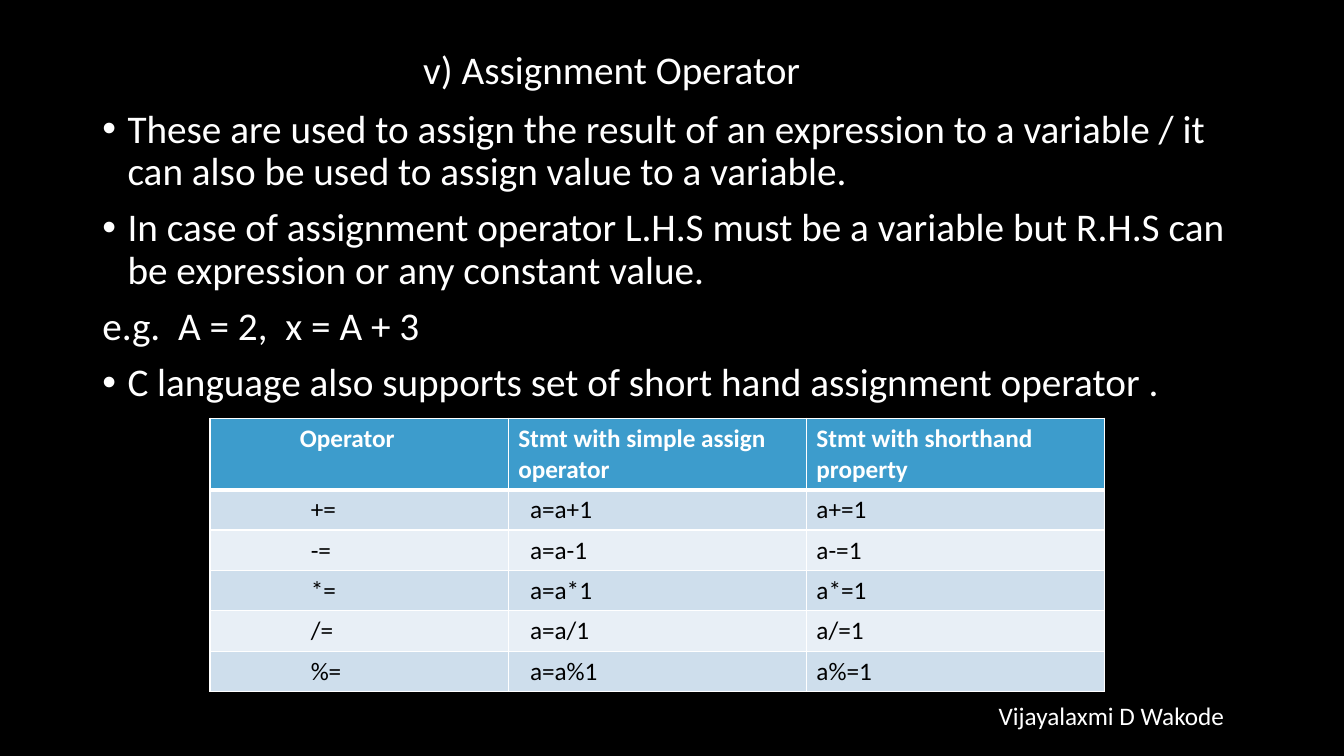
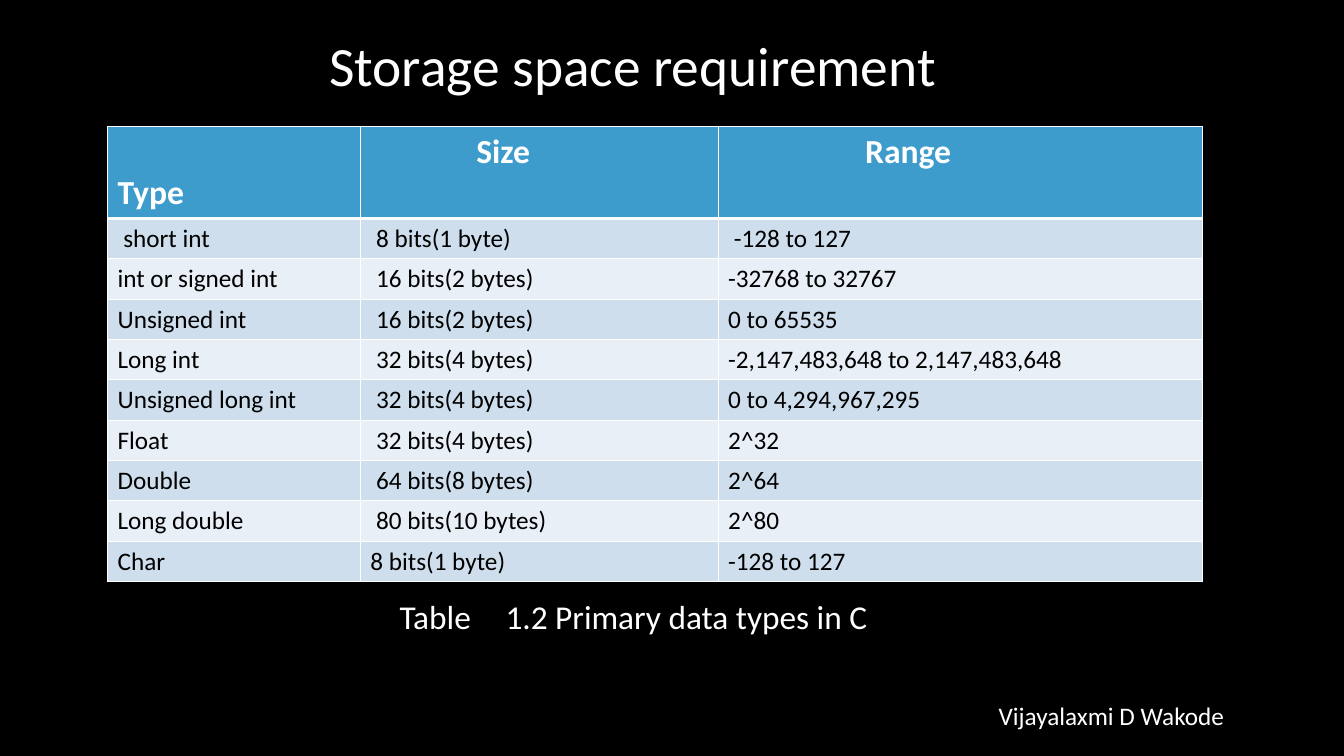
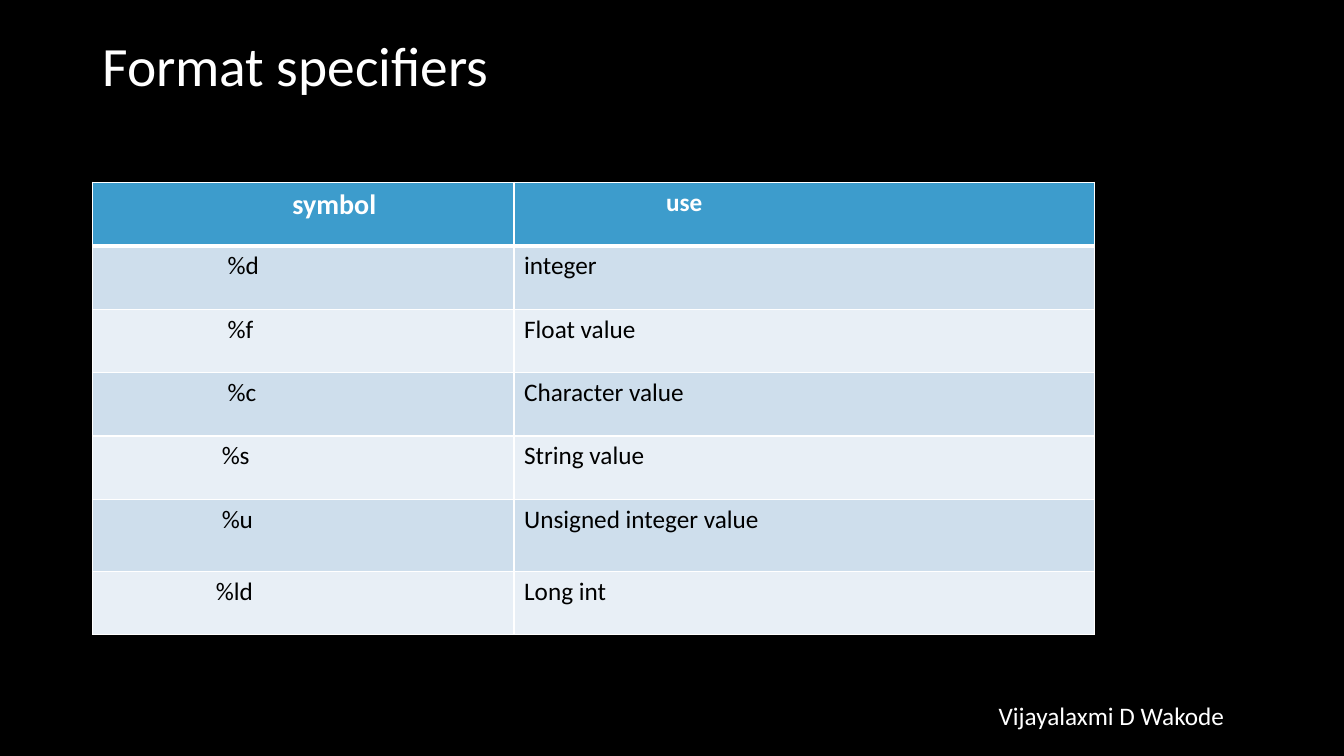
import pptx
import pptx.dml.color
import pptx.enum.text
import pptx.oxml.ns
import pptx.util
from lxml import etree

BLACK = pptx.dml.color.RGBColor(0x00, 0x00, 0x00)
WHITE = pptx.dml.color.RGBColor(0xFF, 0xFF, 0xFF)
HEADER_BLUE = pptx.dml.color.RGBColor(0x3D, 0x9C, 0xCC)
BANDS = (
    pptx.dml.color.RGBColor(0xCE, 0xDE, 0xEC),
    pptx.dml.color.RGBColor(0xE8, 0xEF, 0xF6),
)
FONT = "Calibri"
AUTHOR = "Vijayalaxmi D Wakode"

# The slide is a grid of 160 columns by 90 rows of square units.
SLIDE_COLUMNS, SLIDE_ROWS = 160, 90
SLIDE_WIDTH = pptx.util.Inches(13.33)
SLIDE_HEIGHT = pptx.util.Inches(7.5)
MARGIN, TITLE_TOP, CONTENT_WIDTH = 11, 4.8, 138
TABLE_ROW = 4.8
BULLET_INDENT = 3

MIDDLE = pptx.enum.text.MSO_ANCHOR.MIDDLE
TOP = pptx.enum.text.MSO_ANCHOR.TOP
BOTTOM = pptx.enum.text.MSO_ANCHOR.BOTTOM
CENTER = pptx.enum.text.PP_ALIGN.CENTER


def across(columns):
    """Return the length of a number of grid columns."""
    return pptx.util.Emu(round(SLIDE_WIDTH * columns / SLIDE_COLUMNS))


def down(rows):
    """Return the length of a number of grid rows."""
    return pptx.util.Emu(round(SLIDE_HEIGHT * rows / SLIDE_ROWS))


def set_attributes(target, values):
    """Set every format value on the target."""
    for name, value in values.items():
        setattr(target, name, value)


def add_element(parent, tag, **attributes):
    """Append a DrawingML element to a parent."""
    element = etree.SubElement(parent, pptx.oxml.ns.qn(tag))
    for name, value in attributes.items():
        element.set(name, str(value))
    return element


def write(paragraph, text, size, color, bold=False, indent=0, **layout):
    """Write one run into a paragraph with a first-line indent."""
    set_attributes(paragraph, layout)
    run = paragraph.add_run()
    run.text = text
    set_attributes(run.font, {"name": FONT, "size": pptx.util.Pt(size), "bold": bold})
    run.font.color.rgb = color
    properties = paragraph._p.get_or_add_pPr()
    properties.set("marL", "0")
    properties.set("indent", str(across(indent)))
    return properties


def add_frame(slide, left, top, width, height, anchor=MIDDLE):
    """Add a wrapping text box and return its text frame."""
    box = slide.shapes.add_textbox(across(left), down(top), across(width), down(height))
    set_attributes(box.text_frame, {"word_wrap": True, "vertical_anchor": anchor})
    return box.text_frame


def add_title(slide, text, size, height, width=CONTENT_WIDTH, indent=0):
    """Add the slide title."""
    frame = add_frame(slide, MARGIN, TITLE_TOP, width, height)
    write(frame.paragraphs[0], text, size, WHITE, indent=indent, line_spacing=0.9)


def add_body(slide, items):
    """Add body paragraphs given as (text, has bullet) pairs."""
    frame = add_frame(slide, MARGIN, 12.4, CONTENT_WIDTH, 68.8, TOP)
    for index, (text, has_bullet) in enumerate(items):
        paragraph = frame.add_paragraph() if index else frame.paragraphs[0]
        properties = write(paragraph, text, 28, WHITE, line_spacing=0.9,
                           space_before=pptx.util.Pt(10))
        if has_bullet:
            properties.set("marL", str(across(BULLET_INDENT)))
            properties.set("indent", str(-across(BULLET_INDENT)))
            add_element(properties, "a:buFont", typeface="Arial")
            add_element(properties, "a:buChar", char="\u2022")


def add_caption(slide, text, indent, tab):
    """Add a table caption whose number stands at a tab stop."""
    frame = add_frame(slide, 5, 71.5, 144, 4.9)
    properties = write(frame.paragraphs[0], text, 23.8, WHITE, indent=indent,
                       line_spacing=0.7)
    stops = add_element(properties, "a:tabLst")
    add_element(stops, "a:tab", pos=across(tab), algn="l")


def add_footer(slide):
    """Add the author's name at the bottom right."""
    frame = add_frame(slide, 115.6, 82.8, 33.4, 4.8)
    write(frame.paragraphs[0], AUTHOR, 18, WHITE, alignment=CENTER)


def add_borders(cell, row):
    """Draw white cell borders, thick between header and body."""
    widths = {"L": 1, "R": 1, "T": 3 if row == 1 else 1, "B": 3 if row == 0 else 1}
    for side, width in widths.items():
        line = add_element(cell._tc.get_or_add_tcPr(), f"a:ln{side}",
                           w=pptx.util.Pt(width))
        fill = add_element(line, "a:solidFill")
        add_element(fill, "a:srgbClr", val=WHITE)


def fill_cell(cell, row, entry, header_size):
    """Format a cell; an entry is a text or a (text, indent) pair."""
    text, indent = (entry, 0) if isinstance(entry, str) else entry
    is_header = row == 0
    add_borders(cell, row)
    cell.fill.solid()
    cell.fill.fore_color.rgb = HEADER_BLUE if is_header else BANDS[(row - 1) % 2]
    for index, line in enumerate(text.split("\n")):
        paragraph = cell.text_frame.add_paragraph() if index else cell.text_frame.paragraphs[0]
        write(paragraph, line, header_size if is_header else 18,
              WHITE if is_header else BLACK, is_header, indent)


def add_table(slide, left, top, widths, heights, rows, header_sizes):
    """Add a banded table and return it."""
    frame = slide.shapes.add_table(len(rows), len(widths), across(left), down(top),
                                   across(sum(widths)), down(sum(heights)))
    table = frame.table
    for column, width in zip(table.columns, widths):
        column.width = across(width)
    for row, height in zip(table.rows, heights):
        row.height = down(height)
    for row, entries in enumerate(rows):
        for column, entry in enumerate(entries):
            fill_cell(table.cell(row, column), row, entry, header_sizes[column])
    return table


def build_assignment(slide):
    """Build the assignment operator slide."""
    add_title(slide, "v) Assignment Operator", 28, 7.6, indent=38.2)
    add_body(slide, [
        ("These are used to assign the result of an expression to a variable / it "
         "can also be used to assign value to a variable.", True),
        ("In case of assignment operator L.H.S must be a variable but R.H.S can "
         "be expression or any constant value.", True),
        ("e.g.  A = 2,  x = A + 3", False),
        ("C language also supports set of short hand assignment operator .", True),
    ])
    rows = [[("Operator", 9.5), "Stmt with simple assign\noperator",
             "Stmt with shorthand property"]]
    rows += [[(f"{sign}=", 10.8), (f"a=a{sign}1", 1.4), f"a{sign}=1"] for sign in "+-*/%"]
    add_table(slide, 25, 49.8, [35.5] * 3, [8.5] + [TABLE_ROW] * 5, rows, [18] * 3)


def build_storage(slide):
    """Build the storage space slide."""
    add_title(slide, "Storage space requirement", 39.6, 6.7, indent=27)
    rows = [
        ["Type", ("Size", 12.6), ("Range", 16.3)],
        [" short int", " 8 bits(1 byte)", " -128 to 127"],
        ["int or signed int", " 16 bits(2 bytes)", "-32768 to 32767"],
        ["Unsigned int", " 16 bits(2 bytes)", "0 to 65535"],
        ["Long int", " 32 bits(4 bytes)", "-2,147,483,648 to 2,147,483,648"],
        ["Unsigned long int", " 32 bits(4 bytes)", "0 to 4,294,967,295"],
        ["Float", " 32 bits(4 bytes)", "2^32"],
        ["Double", " 64 bits(8 bytes)", "2^64"],
        ["Long double", " 80 bits(10 bytes)", "2^80"],
        ["Char", "8 bits(1 byte)", "-128 to 127"],
    ]
    table = add_table(slide, 12.8, 15.1, [30.1, 42.6, 57.7], [10.9] + [TABLE_ROW] * 9,
                      rows, [24] * 3)
    table.cell(0, 0).vertical_anchor = BOTTOM
    add_caption(slide, "Table\t1.2 Primary data types in C", 41.4, 53.5)


def build_specifiers(slide):
    """Build the format specifiers slide."""
    add_title(slide, "Format specifiers", 39.6, 6.7, width=117.4)
    rows = [
        [("symbol", 22.6), ("use", 16.9)],
        [("%d", 14.9), "integer"],
        [("%f", 14.9), "Float value"],
        [("%c", 14.9), "Character value"],
        [("%s", 14.2), "String value"],
        [("%u", 14.2), "Unsigned integer value"],
        [("%ld", 13.5), "Long int"],
    ]
    heights = [7.55] * 5 + [8.55, 7.55]
    add_table(slide, MARGIN, 21.7, [50.2, 69.1], heights, rows, [20, 18])


def main():
    """Build and save the presentation."""
    presentation = pptx.Presentation()
    set_attributes(presentation, {"slide_width": SLIDE_WIDTH, "slide_height": SLIDE_HEIGHT})
    background = presentation.slide_master.background.fill
    background.solid()
    background.fore_color.rgb = BLACK
    for build in (build_assignment, build_storage, build_specifiers):
        slide = presentation.slides.add_slide(presentation.slide_layouts[6])
        build(slide)
        add_footer(slide)
    presentation.save("out.pptx")


main()
